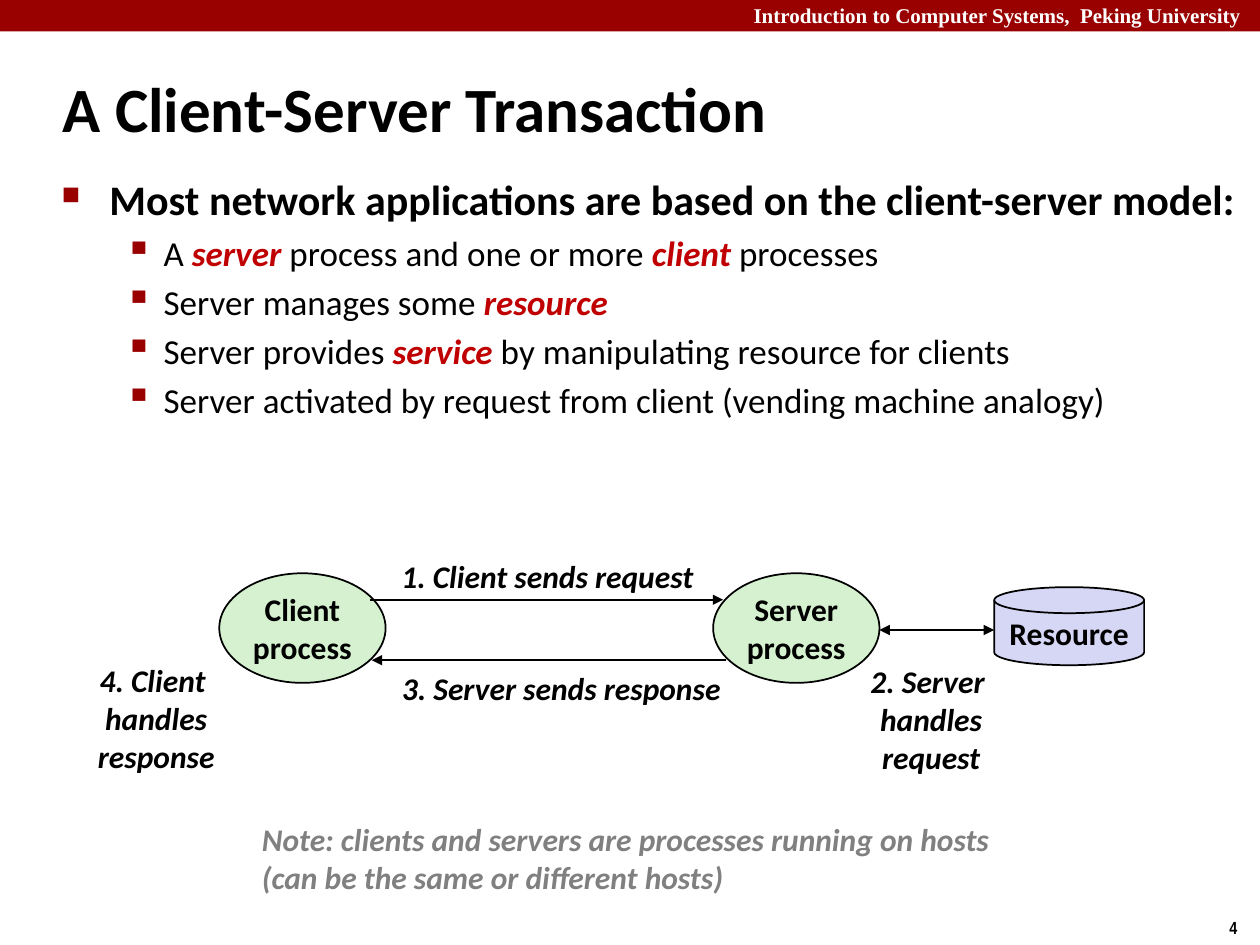
from lxml import etree
from pptx import Presentation
from pptx.dml.color import RGBColor
from pptx.enum.shapes import MSO_CONNECTOR, MSO_SHAPE
from pptx.enum.text import MSO_ANCHOR as ANCHOR, PP_ALIGN as ALIGN
from pptx.oxml.ns import qn
from pptx.util import Inches, Pt

BLACK, WHITE, GREY = "000000", "FFFFFF", "808080"
DARK_RED, ACCENT = "990000", "C00000"
GREEN, LILAC = "D5F1CF", "D6D6F5"


def color(hex_string):
    return RGBColor.from_string(hex_string)


def write(shape, text, size=18, font="Calibri", ink=BLACK, italic=False,
          align=ALIGN.CENTER, anchor=ANCHOR.MIDDLE, wrap=False):
    frame = shape.text_frame
    frame.text = text
    frame.word_wrap = wrap
    frame.vertical_anchor = anchor
    for paragraph in frame.paragraphs:
        paragraph.alignment = align
        for run in paragraph.runs:
            run.font.name = font
            run.font.size = Pt(size)
            run.font.bold = True
            run.font.italic = italic
            run.font.color.rgb = color(ink)


prs = Presentation()
prs.slide_width, prs.slide_height = Inches(10), Inches(7.5)
slide = prs.slides.add_slide(prs.slide_layouts[6])
shapes = slide.shapes

# Header band
band = shapes.add_shape(MSO_SHAPE.RECTANGLE, 0, 0, Inches(10), Inches(0.25))
band.shadow.inherit = False
band.fill.solid()
band.fill.fore_color.rgb = color(DARK_RED)
band.line.fill.background()
course = shapes.add_textbox(Inches(4.75), Inches(-0.03), Inches(5.24), Inches(0.3))
write(course, "Introduction to Computer Systems,  Peking University ", 12,
      "Times New Roman", WHITE, align=ALIGN.RIGHT, anchor=ANCHOR.TOP, wrap=True)

# Slide number and title
number = shapes.add_textbox(Inches(9.66), Inches(7.23), Inches(0.34), Inches(0.27))
write(number, "4", 10, "Arial Narrow", align=ALIGN.LEFT, anchor=ANCHOR.TOP)
title = shapes.add_textbox(Inches(0.4), Inches(0.54), Inches(7.83), Inches(0.63))
write(title, "A Client-Server Transaction", 36, align=ALIGN.LEFT, wrap=True)

# Bullets: level and text pieces, every second piece is a key term
points = [
    (0, ["Most network applications are based on the client-server model:"]),
    (1, ["A ", "server", " process and one or more ", "client ", "processes"]),
    (1, ["Server manages some ", "resource"]),
    (1, ["Server provides ", "service", " by manipulating resource for clients"]),
    (1, ["Server activated by request from client (vending machine analogy)"]),
]
# Per level: text size, left margin, hanging indent, bullet, bullet size in %
levels = [(24, 0.38, 0.38, "■", 60), (20, 0.81, 0.31, "▪", 110)]

body = shapes.add_textbox(Inches(0.39), Inches(1.33), Inches(9.52), Inches(2.25))
body.text_frame.word_wrap = True
for index, (level, pieces) in enumerate(points):
    size, margin, hanging, bullet, percent = levels[level]
    point = body.text_frame.paragraphs[0] if index == 0 else body.text_frame.add_paragraph()
    point.level = level
    if index:
        point.space_before = Pt(size * 0.2)
    props = point._p.get_or_add_pPr()
    props.set("marL", str(Inches(margin)))
    props.set("indent", str(-Inches(hanging)))
    bullet_color = etree.SubElement(props, qn("a:buClr"))
    etree.SubElement(bullet_color, qn("a:srgbClr"), val=DARK_RED)
    etree.SubElement(props, qn("a:buSzPct"), val=str(percent * 1000))
    etree.SubElement(props, qn("a:buChar"), char=bullet)
    for position, piece in enumerate(pieces):
        is_term = position % 2 == 1
        run = point.add_run()
        run.text = piece
        run.font.name = "Calibri"
        run.font.size = Pt(size)
        run.font.bold = is_term or level == 0
        run.font.italic = is_term
        run.font.color.rgb = color(ACCENT if is_term else BLACK)

# Processes and resource
nodes = [
    (MSO_SHAPE.OVAL, 1.74, 4.55, 1.32, 0.87, GREEN, "Client\nprocess"),
    (MSO_SHAPE.OVAL, 5.66, 4.55, 1.32, 0.87, GREEN, "Server\nprocess"),
    (MSO_SHAPE.FLOWCHART_MAGNETIC_DISK, 7.89, 4.66, 1.19, 0.62, LILAC, "Resource"),
]
for kind, left, top, width, height, fill, name in nodes:
    node = shapes.add_shape(kind, Inches(left), Inches(top), Inches(width), Inches(height))
    node.shadow.inherit = False
    node.fill.solid()
    node.fill.fore_color.rgb = color(fill)
    node.line.color.rgb = color(BLACK)
    node.line.width = Pt(1)
    write(node, name)

# Arrows: start x, end x, y, arrowheads
arrows = [
    (2.94, 5.74, 4.76, ["tailEnd"]),
    (5.76, 2.95, 5.24, ["tailEnd"]),
    (6.98, 7.89, 5.0, ["headEnd", "tailEnd"]),
]
for start, end, y, heads in arrows:
    arrow = shapes.add_connector(MSO_CONNECTOR.STRAIGHT, Inches(start), Inches(y),
                                 Inches(end), Inches(y))
    arrow.line.color.rgb = color(BLACK)
    arrow.line.width = Pt(1)
    for head in heads:
        etree.SubElement(arrow.line._get_or_add_ln(), qn(f"a:{head}"), type="triangle")
    etree.SubElement(arrow._element.spPr, qn("a:effectLst"))

# Step labels
steps = [
    (3.07, 4.37, 2.55, 0.4, "1. Client sends request"),
    (6.8, 5.2, 1.18, 1.01, "2. Server \nhandles\nrequest"),
    (3.07, 5.26, 2.77, 0.4, "3. Server sends response"),
    (0.67, 5.19, 1.14, 1.01, "4. Client \nhandles\nresponse"),
]
for left, top, width, height, text in steps:
    step = shapes.add_textbox(Inches(left), Inches(top), Inches(width), Inches(height))
    write(step, text, italic=True)

# Note
note = shapes.add_textbox(Inches(1.98), Inches(6.46), Inches(6.11), Inches(0.71))
write(note, "Note: clients and servers are processes running on hosts\n"
      "(can be the same or different hosts)",
      ink=GREY, italic=True, align=ALIGN.LEFT, anchor=ANCHOR.TOP)

prs.save("out.pptx")
